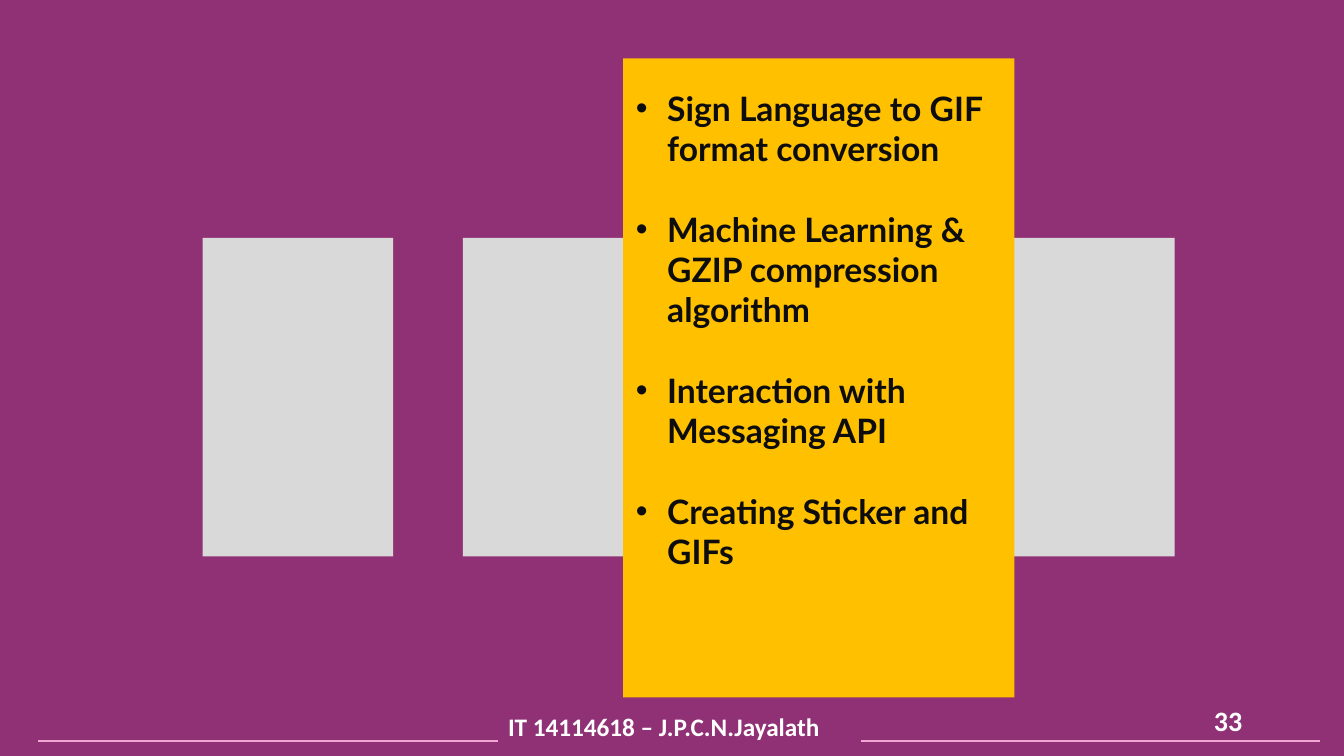
from lxml import etree
from pptx import Presentation
from pptx.dml.color import RGBColor
from pptx.enum.shapes import MSO_CONNECTOR, MSO_SHAPE
from pptx.enum.text import MSO_ANCHOR, PP_ALIGN
from pptx.oxml.ns import qn
from pptx.util import Inches, Pt

PURPLE = RGBColor(0x90, 0x31, 0x75)
GRAY = RGBColor(0xD9, 0xD9, 0xD9)
GOLD = RGBColor(0xFF, 0xC0, 0x00)
PINK = RGBColor(0xF2, 0xA6, 0xD3)
INK = RGBColor(0x0D, 0x0D, 0x0D)
WHITE = RGBColor(0xFF, 0xFF, 0xFF)

TOPICS = [
    "Sign Language to GIF format conversion",
    "Machine Learning & GZIP compression algorithm",
    "Interaction with Messaging API",
    "Creating Sticker and GIFs",
]


def add_panel(slide, left, top, width, height, color):
    panel = slide.shapes.add_shape(
        MSO_SHAPE.RECTANGLE, Inches(left), Inches(top), Inches(width), Inches(height)
    )
    panel.shadow.inherit = False
    panel.fill.solid()
    panel.fill.fore_color.rgb = color
    panel.line.fill.background()


def add_rule(slide, start, end, y):
    rule = slide.shapes.add_connector(
        MSO_CONNECTOR.STRAIGHT, Inches(start), Inches(y), Inches(end), Inches(y)
    )
    rule.line.color.rgb = PINK
    rule.line.width = Pt(1.5)
    etree.SubElement(rule.element.spPr, qn("a:effectLst"))


def add_bullet(paragraph, indent):
    properties = paragraph._p.get_or_add_pPr()
    properties.set("marL", str(Inches(indent)))
    properties.set("indent", str(-Inches(indent)))
    etree.SubElement(properties, qn("a:buFont"), typeface="Arial")
    etree.SubElement(properties, qn("a:buChar"), char="•")


def add_text(slide, lines, left, top, width, height, *, font, size, color,
             align=PP_ALIGN.LEFT, anchor=MSO_ANCHOR.TOP, indent=0, gap=0):
    box = slide.shapes.add_textbox(
        Inches(left), Inches(top), Inches(width), Inches(height)
    )
    frame = box.text_frame
    frame.word_wrap = True
    frame.vertical_anchor = anchor
    for index, line in enumerate(lines):
        paragraph = frame.add_paragraph() if index else frame.paragraphs[0]
        if indent:
            add_bullet(paragraph, indent)
        if index and gap:
            paragraph.space_before = Pt(gap)
        paragraph.alignment = align
        run = paragraph.add_run()
        run.text = line
        run.font.name = font
        run.font.size = Pt(size)
        run.font.bold = True
        run.font.color.rgb = color


def main():
    deck = Presentation()
    deck.slide_width = Inches(13.33)
    deck.slide_height = Inches(7.5)
    slide = deck.slides.add_slide(deck.slide_layouts[6])

    add_panel(slide, 0, -0.25, 13.33, 7.75, PURPLE)
    for left in (2.01, 4.59, 9.76):
        add_panel(slide, left, 2.36, 1.89, 3.16, GRAY)
    add_panel(slide, 6.18, 0.58, 3.88, 6.34, GOLD)
    add_text(slide, TOPICS, 6.21, 0.82, 3.73, 5.35, font="Lato", size=24,
             color=INK, indent=0.31, gap=28.8)

    for start, end in ((0.38, 4.94), (8.54, 13.09)):
        add_rule(slide, start, end, 7.35)
    add_text(slide, ["IT 14114618 – J.P.C.N.Jayalath"], 4.94, 7.01, 4.05, 0.4,
             font="Calibri", size=18, color=WHITE)
    add_text(slide, ["33"], 9.42, 6.95, 3, 0.4, font="Calibri", size=20,
             color=WHITE, align=PP_ALIGN.RIGHT, anchor=MSO_ANCHOR.MIDDLE)

    deck.save("out.pptx")


if __name__ == "__main__":
    main()
